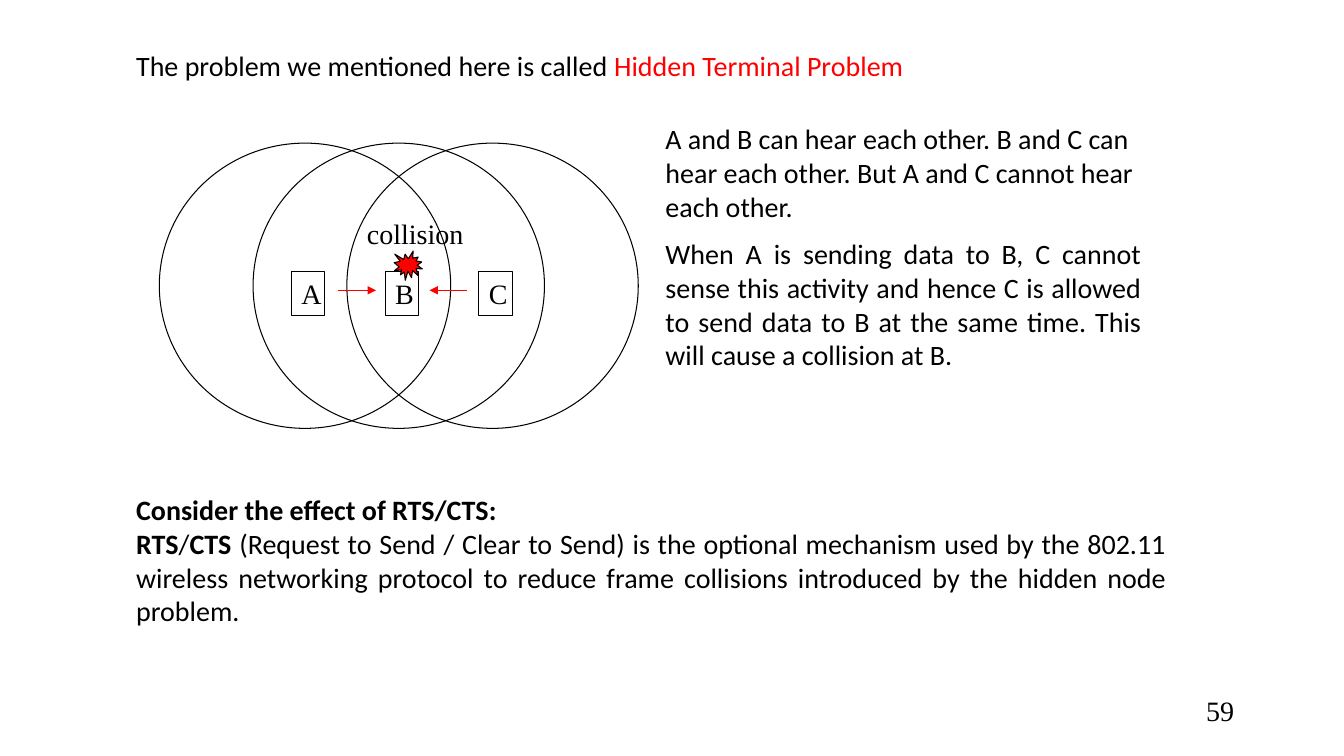
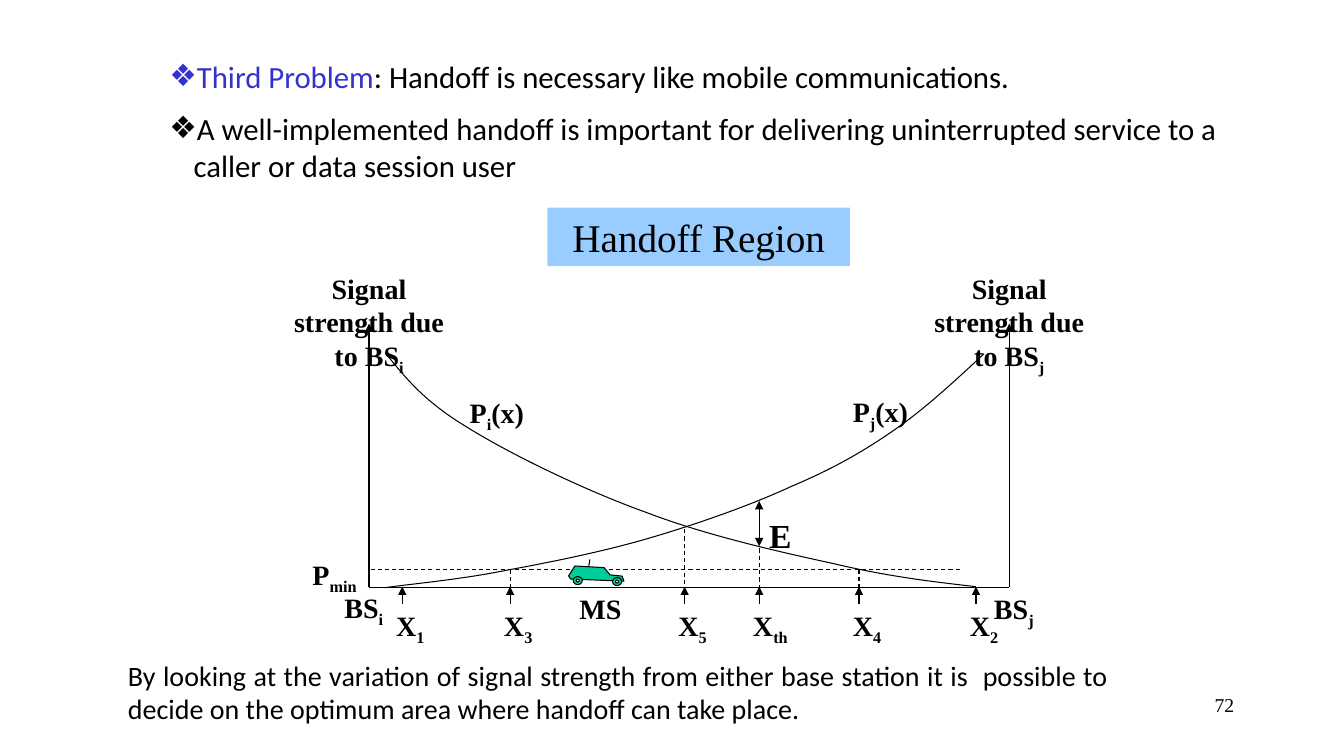
from dataclasses import dataclass

from lxml.etree import SubElement
from pptx import Presentation
from pptx.dml.color import RGBColor
from pptx.enum.dml import MSO_LINE
from pptx.enum.shapes import MSO_CONNECTOR, MSO_SHAPE as SHAPE
from pptx.enum.text import MSO_ANCHOR as ANCHOR, MSO_AUTO_SIZE, PP_ALIGN as ALIGN
from pptx.oxml.ns import qn
from pptx.util import Inches, Pt


@dataclass(frozen=True)
class Theme:
    ink: str = "000000"
    alert: str = "FF0000"
    accent: str = "3333CC"
    band: str = "99CCFF"
    car: str = "00CC99"
    paper: str = "FFFFFF"
    sans: str = "Calibri"
    serif: str = "Times New Roman"
    small: int = 14
    text: int = 20
    bullet: int = 22
    large: int = 24
    heading: int = 28
    hairline: float = 0.75
    paragraph_gap: int = 10


T = Theme()
SLIDE_W, SLIDE_H = 13.33, 7.5
PAGE_BOX = (9.56, 6.83, 2.78, 0.5)
BOLD, SUB = {"bold": True}, {"sub": True}

# Content: a text is a list of paragraphs, a paragraph a list of (words, style)
HIDDEN_TITLE = [[("The problem we mentioned here is called ", {}),
                 ("Hidden Terminal Problem", {"color": T.alert})]]
HIDDEN_REASON = [
    [("A and B can hear each other. B and C can hear each other. "
      "But A and C cannot hear each other.", {})],
    [("When A is sending data to B, C cannot sense this activity and hence C is allowed "
      "to send data to B at the same time. This will cause a collision at B.", {})],
]
RTS_CTS = [
    [("Consider the effect of RTS/CTS:", BOLD)],
    [("RTS", BOLD), ("/", {}), ("CTS", BOLD),
     (" (Request to Send / Clear to Send) is the optional mechanism used by the 802.11 "
      "wireless networking protocol to reduce frame collisions introduced by the hidden "
      "node problem.", {})],
]
STATIONS = "ABC"

HANDOFF_POINTS = [
    [("Third Problem", {"color": T.accent}),
     (": Handoff is necessary like mobile communications.", {})],
    [("A well-implemented handoff is important for delivering uninterrupted service "
      "to a caller or data session user", {})],
]
HANDOFF_NOTE = [[("By looking at the variation of signal strength from either base station "
                  "it is  possible to decide on the optimum area where handoff can take "
                  "place.", {})]]
AXIS_LEFT, AXIS_RIGHT, AXIS_TOP, BASELINE, P_MIN = 3.66, 10.01, 3.21, 5.82, 5.65
# subscript, position on the baseline, top of the dashed drop line, label width
POSITIONS = [("1", 3.99, None, 0.49), ("3", 5.06, P_MIN, 0.49), ("5", 6.79, 5.25, 0.49),
             ("th", 7.53, 5.37, 0.66), ("4", 8.52, P_MIN, 0.49), ("2", 9.68, None, 0.49)]
# letters, subscript, rest, box, alignment
CHART_LABELS = [
    ("Signal strength due to BS", "i", "", (2.67, 2.64, 1.98, 0.77), ALIGN.CENTER),
    ("Signal strength due to BS", "j", "", (9.02, 2.64, 1.98, 0.77), ALIGN.CENTER),
    ("BS", "i", "", (3.24, 5.81, 0.66, 0.44), ALIGN.RIGHT),
    ("BS", "j", "", (9.76, 5.82, 0.66, 0.44), ALIGN.LEFT),
    ("MS", "", "", (5.58, 5.82, 0.75, 0.44), ALIGN.CENTER),
    ("P", "min", "", (3, 5.48, 0.74, 0.44), ALIGN.LEFT),
    ("P", "i", "(x)", (4.56, 3.87, 1.1, 0.44), ALIGN.LEFT),
    ("P", "j", "(x)", (8.36, 3.86, 1.06, 0.44), ALIGN.LEFT),
]
# Start, then two handles and an end for each Bezier segment
SIGNAL_CURVES = [
    [(9.76, 3.51), (9.47, 3.78), (9.17, 4.06), (8.85, 4.28), (8.53, 4.5), (8.24, 4.66),
     (7.84, 4.83), (7.45, 5.01), (6.94, 5.19), (6.47, 5.33), (6, 5.47), (5.45, 5.58),
     (5.01, 5.66), (4.57, 5.75), (4.02, 5.8), (3.82, 5.83)],
    [(3.82, 3.5), (4.01, 3.73), (4.19, 3.97), (4.62, 4.23), (5.05, 4.5), (5.79, 4.86),
     (6.4, 5.08), (7, 5.31), (7.71, 5.47), (8.26, 5.59), (8.81, 5.72), (9.24, 5.77),
     (9.68, 5.82)],
]
CAR_BODY = [(5.64, 5.72), (5.7, 5.62), (5.99, 5.63), (6.05, 5.7), (6.17, 5.71),
            (6.19, 5.76), (5.66, 5.75)]
WHEELS = [(5.73, 5.76), (6.12, 5.77)]


def place(shape, box):
    shape.left, shape.top, shape.width, shape.height = map(Inches, box)


def set_bullet(paragraph, bullet):
    props = paragraph._p.get_or_add_pPr()
    indent = Inches(0.24) if bullet else 0
    props.set("marL", str(indent))
    props.set("indent", str(-indent))
    if bullet:
        SubElement(props, qn("a:buChar")).set("char", bullet)
    else:
        SubElement(props, qn("a:buNone"))


def write(shape, paragraphs, size=T.text, font=T.sans, aligns=(ALIGN.LEFT,),
          gap=0, bullet=None, anchor=ANCHOR.TOP):
    """Fill a shape; the last alignment holds for all remaining paragraphs."""
    frame = shape.text_frame
    frame.word_wrap, frame.auto_size = True, MSO_AUTO_SIZE.NONE
    frame.vertical_anchor = anchor
    for index, parts in enumerate(paragraphs):
        paragraph = frame.add_paragraph() if index else frame.paragraphs[0]
        if shape.is_placeholder:
            set_bullet(paragraph, bullet)
        paragraph.alignment = aligns[min(index, len(aligns) - 1)]
        paragraph.space_before = Pt(gap if index else 0)
        for words, style in parts:
            run = paragraph.add_run()
            run.text = words
            run.font.size, run.font.name = Pt(size), font
            run.font.bold = style.get("bold", False)
            run.font.color.rgb = RGBColor.from_string(style.get("color", T.ink))
            if style.get("sub"):
                run._r.get_or_add_rPr().set("baseline", "-25000")


def add_text(slide, box, paragraphs, **options):
    write(slide.shapes.add_textbox(*map(Inches, box)), paragraphs, **options)


def paint(shape, fill=None):
    shape.shadow.inherit = False
    if fill:
        shape.fill.solid()
        shape.fill.fore_color.rgb = RGBColor.from_string(fill)
    else:
        shape.fill.background()
    shape.line.color.rgb = RGBColor.from_string(T.ink)
    shape.line.width = Pt(T.hairline)


def add_outline(slide, kind, box, fill=None):
    shape = slide.shapes.add_shape(kind, *map(Inches, box))
    paint(shape, fill)
    return shape


def add_polygon(slide, points, closed=True, fill=None):
    corners = [(Inches(x), Inches(y)) for x, y in points]
    builder = slide.shapes.build_freeform(*corners[0], scale=1.0)
    builder.add_line_segments(corners[1:], close=closed)
    shape = builder.convert_to_shape()
    paint(shape, fill)
    return shape


def add_curve(slide, knots):
    """Turn every three straight segments into one cubic Bezier segment."""
    shape = add_polygon(slide, knots, closed=False)
    outline = next(shape._element.iter(qn("a:path")))
    segments = outline.findall(qn("a:lnTo"))
    for first in range(0, len(segments), 3):
        curve = SubElement(outline, qn("a:cubicBezTo"))
        for segment in segments[first:first + 3]:
            curve.append(segment[0])
            outline.remove(segment)


def add_line(slide, start, end, color=T.ink, dashed=False, arrows=()):
    """Draw a line; arrows may hold headEnd (at start) and tailEnd (at end)."""
    line = slide.shapes.add_connector(MSO_CONNECTOR.STRAIGHT, *map(Inches, start + end))
    line.line.color.rgb = RGBColor.from_string(color)
    line.line.width = Pt(T.hairline)
    if dashed:
        line.line.dash_style = MSO_LINE.DASH
    props = line._element.spPr
    for arrow in arrows:
        SubElement(props.find(qn("a:ln")), qn(f"a:{arrow}")).set("type", "triangle")
    SubElement(props, qn("a:effectLst"))


def start_slide(deck, layout, title, title_box, page, page_size, **title_options):
    slide = deck.slides.add_slide(deck.slide_layouts[layout])
    place(slide.shapes.title, title_box)
    write(slide.shapes.title, title, anchor=ANCHOR.MIDDLE, **title_options)
    add_text(slide, PAGE_BOX, [[(page, {})]], size=page_size, font=T.serif,
             aligns=(ALIGN.RIGHT,))
    return slide


def hidden_terminal_slide(deck):
    slide = start_slide(deck, 3, HIDDEN_TITLE, (1.25, 0.25, 10.08, 0.79), "59", T.text,
                        aligns=(ALIGN.JUSTIFY,))
    reason, rts_cts = slide.placeholders[1], slide.placeholders[2]
    place(reason, (6.5, 1.16, 4.92, 2.63))
    write(reason, HIDDEN_REASON, aligns=(ALIGN.LEFT, ALIGN.JUSTIFY), gap=T.paragraph_gap)
    place(rts_cts, (1.25, 4.84, 10.42, 1.45))
    write(rts_cts, RTS_CTS, aligns=(ALIGN.JUSTIFY,))

    pitch, box_left = 0.93, 2.89
    for index, station in enumerate(STATIONS):
        shift = index * pitch
        add_outline(slide, SHAPE.OVAL, (1.58 + shift, 1.42, 2.89, 2.83))
        node = add_outline(slide, SHAPE.RECTANGLE, (box_left + shift, 2.69, 0.33, 0.44))
        write(node, [[(station, {})]], font=T.serif, aligns=(ALIGN.CENTER,))
    for start, end in ((3.35, 3.73), (4.63, 4.26)):
        add_line(slide, (start, 2.88), (end, 2.88), T.alert, arrows=("tailEnd",))
    add_outline(slide, SHAPE.EXPLOSION1, (3.91, 2.49, 0.28, 0.29), T.alert)
    add_text(slide, (3.54, 2.1, 1.21, 0.44), [[("collision", {})]], font=T.serif)


def add_car(slide):
    add_polygon(slide, CAR_BODY, fill=T.car).rotation = 1.3
    for x, y in WHEELS:
        for width, height, fill in ((0.09, 0.08, T.car), (0.03, 0.03, T.paper)):
            box = (x - width / 2, y - height / 2, width, height)
            add_outline(slide, SHAPE.OVAL, box, fill)
    add_line(slide, (5.84, 5.62), (5.85, 5.55))


def handoff_slide(deck):
    slide = start_slide(deck, 1, [[("Handoff Region", {})]], (5.43, 2.06, 3, 0.58), "72",
                        T.small, size=T.heading, font=T.serif, aligns=(ALIGN.CENTER,))
    slide.shapes.title.fill.solid()
    slide.shapes.title.fill.fore_color.rgb = RGBColor.from_string(T.band)
    points = slide.placeholders[1]
    place(points, (1.58, 0.52, 10.83, 1.4))
    write(points, HANDOFF_POINTS, size=T.bullet, gap=T.paragraph_gap + 1, bullet="❖")
    add_text(slide, (1.17, 6.48, 9.92, 0.77), HANDOFF_NOTE, aligns=(ALIGN.JUSTIFY,))

    add_line(slide, (AXIS_LEFT, 5.83), (AXIS_RIGHT, 5.83))
    for x in (AXIS_LEFT, AXIS_RIGHT):
        add_line(slide, (x, BASELINE), (x, AXIS_TOP), arrows=("tailEnd",))
    for knots in SIGNAL_CURVES:
        add_curve(slide, knots)
    add_line(slide, (9.52, P_MIN), (AXIS_LEFT, P_MIN), dashed=True)
    add_line(slide, (7.53, 5.42), (7.53, 4.97), arrows=("headEnd", "tailEnd"))
    add_text(slide, (7.53, 5.06, 0.33, 0.4), [[("E", BOLD)]], size=T.large, font=T.serif)

    labels = list(CHART_LABELS)
    for subscript, x, drop_top, width in POSITIONS:
        if drop_top:
            add_line(slide, (x, drop_top), (x, BASELINE), dashed=True)
        add_line(slide, (x, 5.99), (x, BASELINE), arrows=("tailEnd",))
        labels.append(("X", subscript, "", (x - 0.16, 5.99, width, 0.44), ALIGN.LEFT))
    for letters, subscript, rest, box, align in labels:
        parts = [(letters, BOLD), (subscript, BOLD | SUB), (rest, BOLD)]
        add_text(slide, box, [[part for part in parts if part[0]]], font=T.serif,
                 aligns=(align,))
    add_car(slide)


def main():
    deck = Presentation()
    deck.slide_width, deck.slide_height = Inches(SLIDE_W), Inches(SLIDE_H)
    hidden_terminal_slide(deck)
    handoff_slide(deck)
    deck.save("out.pptx")


if __name__ == "__main__":
    main()
